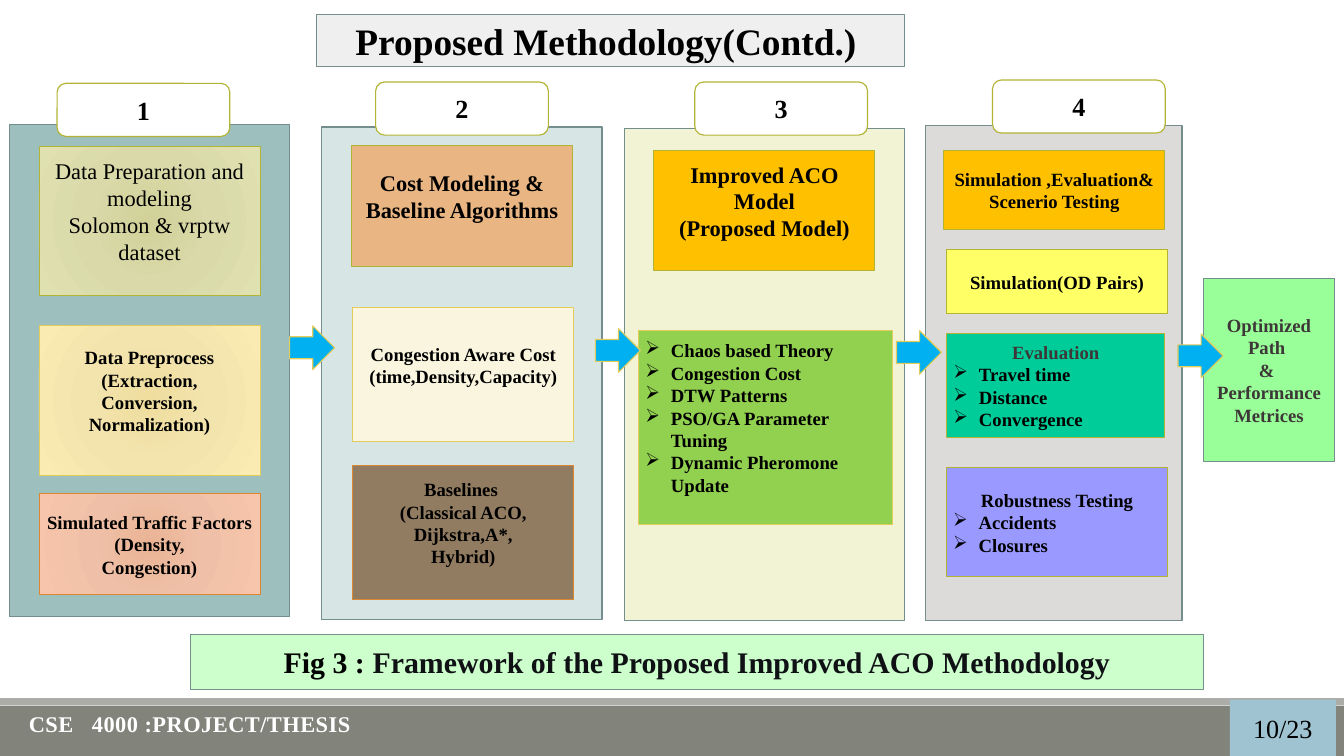
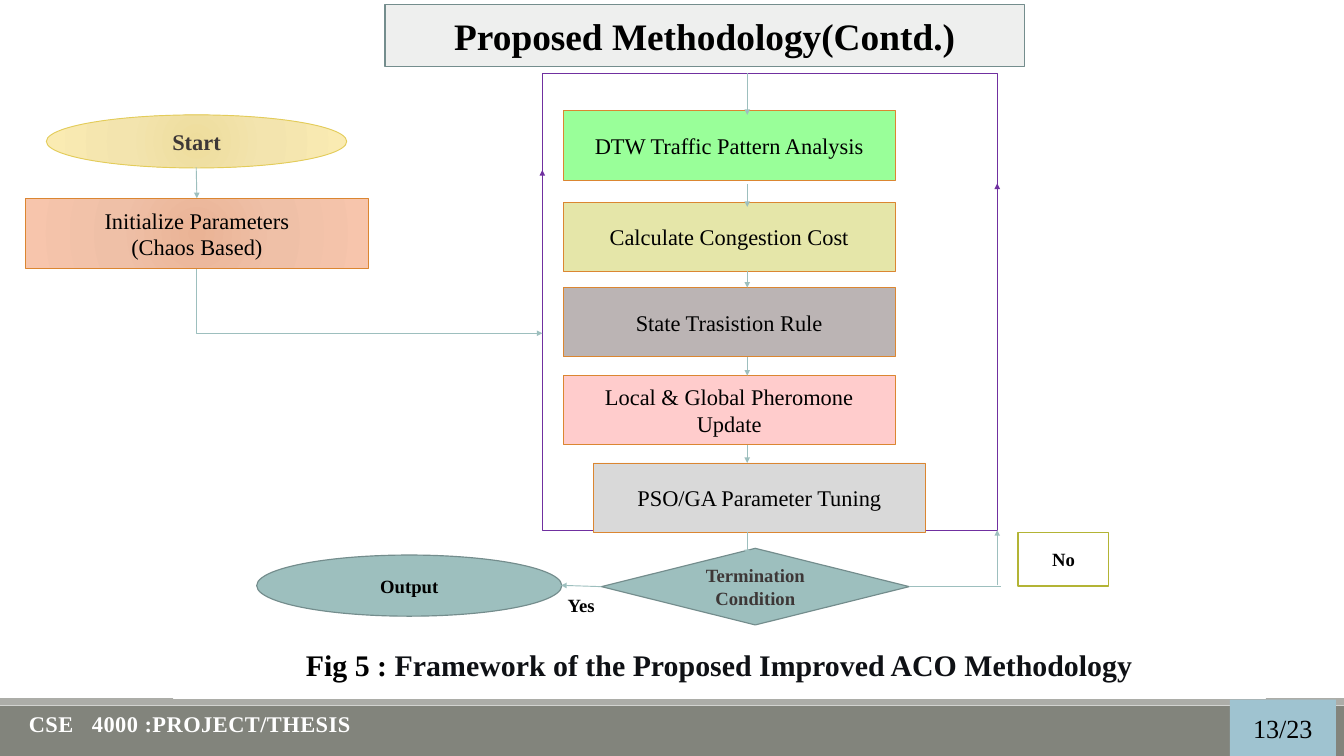
from lxml import etree
from pptx import Presentation
from pptx.dml.color import RGBColor
from pptx.enum.shapes import MSO_CONNECTOR, MSO_SHAPE
from pptx.enum.text import MSO_ANCHOR, PP_ALIGN
from pptx.oxml.ns import qn
from pptx.util import Inches, Pt

RECT, ROUND = MSO_SHAPE.RECTANGLE, MSO_SHAPE.ROUNDED_RECTANGLE
OVAL, DIAMOND = MSO_SHAPE.OVAL, MSO_SHAPE.FLOWCHART_DECISION
ARROW = MSO_SHAPE.RIGHT_ARROW
STRAIGHT, ELBOW = MSO_CONNECTOR.STRAIGHT, MSO_CONNECTOR.ELBOW
LEFT, CENTER = PP_ALIGN.LEFT, PP_ALIGN.CENTER
TOP, MIDDLE = MSO_ANCHOR.TOP, MSO_ANCHOR.MIDDLE
TOP_SIDE, LEFT_SIDE, BOTTOM_SIDE, RIGHT_SIDE = range(4)

WIDTH, HEIGHT = 20, 11.25
FONT = "Times New Roman"
BLACK = RGBColor(0x00, 0x00, 0x00)
WHITE = RGBColor(0xFF, 0xFF, 0xFF)
INK = RGBColor(0x3D, 0x37, 0x37)
CAPTION_INK = RGBColor(0x0F, 0x11, 0x15)
BAND = RGBColor(0x82, 0x84, 0x7C)
STRIPE = RGBColor(0xAC, 0xAD, 0xA8)
PAGE_BLUE = RGBColor(0x9F, 0xC3, 0xD0)
TITLE_GREY = RGBColor(0xEE, 0xEF, 0xEE)
TEAL = RGBColor(0x9D, 0xBF, 0xBE)
TEAL_EDGE = RGBColor(0x74, 0x8D, 0x8D)
PALE_TEAL = RGBColor(0xD8, 0xE5, 0xE5)
OLIVE_EDGE = RGBColor(0xB3, 0xB4, 0x35)
GOLD_EDGE = RGBColor(0xE3, 0xCC, 0x5A)
ORANGE_EDGE = RGBColor(0xDB, 0x86, 0x31)
PURPLE = RGBColor(0x70, 0x30, 0xA0)
SKY = RGBColor(0x00, 0xB0, 0xF0)
AMBER = RGBColor(0xFF, 0xC0, 0x00)
TAN = RGBColor(0xE9, 0xB6, 0x83)
CREAM = RGBColor(0xF9, 0xF5, 0xDE)
BROWN = RGBColor(0x92, 0x7C, 0x61)
IVORY = RGBColor(0xF2, 0xF2, 0xD4)
LEAF = RGBColor(0x92, 0xD0, 0x50)
WARM_GREY = RGBColor(0xDD, 0xDA, 0xDA)
YELLOW = RGBColor(0xFF, 0xFF, 0x66)
JADE = RGBColor(0x00, 0xCC, 0x99)
VIOLET = RGBColor(0x99, 0x99, 0xFF)
LIME = RGBColor(0x99, 0xFF, 0x99)
MINT = RGBColor(0xCC, 0xFF, 0xCC)
KHAKI = RGBColor(0xE5, 0xE6, 0xA9)
STONE = RGBColor(0xBB, 0xB4, 0xB4)
PINK = RGBColor(0xFF, 0xCC, 0xCC)
SILVER = RGBColor(0xD9, 0xD9, 0xD9)
PEACH_GLOW = ("EAB395", "EFC0A7", "F7C5AC")
GOLD_GLOW = ("EEDD9D", "F3E4AE", "FAEBB2")
OLIVE_GLOW = ("D1D199", "D9D9A9", "E0E1B0")
GLOW_STOPS = (0, 45, 100)

TITLE = "Proposed Methodology(Contd.)"
COURSE = "CSE   4000 :PROJECT/THESIS"
CAPTION = "Framework of the Proposed Improved ACO Methodology"
BULLET, INDENT = "➢", 0.38
LIFT = 0.34

PANELS = [
    {"frame": (0.14, 1.85, 4.17, 7.33), "fill": TEAL, "badge": (0.85, 1.24), "cards": [
        {"place": (0, 2.18, 3.29, 2.22), "fill": OLIVE_GLOW, "edge": OLIVE_EDGE, "size": 24,
         "bold": False, "lift": LIFT,
         "lines": ["Data Preparation and modeling", "Solomon & vrptw dataset"]},
        {"place": (0, 4.85, 3.29, 2.22), "fill": GOLD_GLOW, "edge": GOLD_EDGE, "lift": LIFT,
         "lines": ["Data Preprocess", "(Extraction,", "Conversion,", "Normalization)"]},
        {"place": (0, 7.35, 3.29, 1.5), "fill": PEACH_GLOW, "edge": ORANGE_EDGE,
         "lines": ["Simulated Traffic Factors", "(Density,", "Congestion)"]}]},
    {"frame": (4.79, 1.89, 4.17, 7.33), "fill": PALE_TEAL, "badge": (5.59, 1.22), "cards": [
        {"place": (0, 2.17, 3.29, 1.79), "fill": TAN, "edge": OLIVE_EDGE, "size": 24,
         "lift": LIFT, "lines": ["Cost Modeling & Baseline Algorithms"]},
        {"place": (0.02, 4.58, 3.29, 1.99), "fill": CREAM, "edge": GOLD_EDGE, "lift": LIFT,
         "lines": ["Congestion Aware Cost", "(time,Density,Capacity)"]},
        {"place": (0.02, 6.93, 3.29, 1.99), "fill": BROWN, "edge": ORANGE_EDGE, "lift": LIFT,
         "lines": ["Baselines ", "(Classical ACO,", "Dijkstra,A*,", "Hybrid)"]}]},
    {"frame": (9.29, 1.91, 4.17, 7.33), "fill": IVORY, "badge": (10.34, 1.22), "cards": [
        {"place": (0, 2.24, 3.29, 1.79), "fill": AMBER, "edge": OLIVE_EDGE, "size": 24,
         "lift": LIFT, "lines": ["Improved ACO Model", "(Proposed Model)"]},
        {"place": (0.02, 4.92, 3.78, 2.88), "fill": LEAF, "edge": GOLD_EDGE, "lift": LIFT,
         "bullets": ["Chaos based Theory", "Congestion Cost", "DTW Patterns",
                     "PSO/GA Parameter Tuning", "Dynamic Pheromone Update"]}]},
    {"frame": (13.77, 1.87, 3.82, 7.37), "fill": WARM_GREY, "badge": (14.77, 1.19), "cards": [
        {"place": (0.01, 2.24, 3.29, 1.17), "fill": AMBER, "edge": OLIVE_EDGE,
         "lines": ["Simulation ,Evaluation& Scenerio Testing"]},
        {"place": (0.05, 3.71, 3.29, 0.96), "fill": YELLOW, "edge": OLIVE_EDGE,
         "lines": ["Simulation(OD Pairs)"]},
        {"place": (0.03, 4.97, 3.24, 1.54), "fill": JADE, "edge": OLIVE_EDGE, "ink": INK,
         "lines": ["Evaluation"], "bullets": ["Travel time", "Distance", "Convergence"]},
        {"place": (0.05, 6.96, 3.29, 1.62), "fill": VIOLET, "edge": OLIVE_EDGE,
         "lines": ["Robustness Testing"], "bullets": ["Accidents", "Closures"]}]},
]
RESULT = ["Optimized", "Path ", "& ", "Performance", "Metrices"]
FLOW_ARROWS = [(4.31, 4.85), (8.86, 4.89), (13.34, 4.92), (17.53, 4.97)]

STEPS = [
    (8.38, 1.65, LIME, ["DTW Traffic Pattern Analysis"]),
    (8.38, 3.01, KHAKI, ["Calculate Congestion Cost"]),
    (8.38, 4.28, STONE, ["State Trasistion Rule"]),
    (8.38, 5.59, PINK, ["Local & Global Pheromone", "Update"]),
    (8.83, 6.89, SILVER, ["PSO/GA Parameter Tuning"]),
]
STEP_SIZE = (4.94, 1.03)
STEP_AXIS = 11.12
STEP_LINKS = [(1.09, 1.71), (2.74, 3.08), (4.04, 4.28), (5.31, 5.59), (6.62, 6.89), (7.92, 8.26)]
LOOP = (8.07, 1.09, 6.77, 6.8)
LOOP_RIGHT, LOOP_BOTTOM = LOOP[0] + LOOP[2], LOOP[1] + LOOP[3]


def inches(values):
    return [Inches(value) for value in values]


def paint_glow(shape, colours):
    shape.fill.gradient()
    glow = shape._element.spPr.find(qn("a:gradFill"))
    glow.clear()
    stops = etree.SubElement(glow, qn("a:gsLst"))
    for position, colour in zip(GLOW_STOPS, colours):
        stop = etree.SubElement(stops, qn("a:gs"), pos=str(position * 1000))
        etree.SubElement(stop, qn("a:srgbClr"), val=colour)
    circle = etree.SubElement(glow, qn("a:path"), path="circle")
    etree.SubElement(circle, qn("a:fillToRect"), {side: "100000" for side in "ltrb"})


def add_span(para, text, size, bold, ink):
    span = para.add_run()
    span.text = text
    span.font.name, span.font.size = FONT, Pt(size)
    span.font.bold, span.font.color.rgb = bold, ink
    return span


def set_bullet(para):
    props = para._p.get_or_add_pPr()
    props.set("marL", str(Inches(INDENT)))
    props.set("indent", str(-Inches(INDENT)))
    etree.SubElement(props, qn("a:buChar"), char=BULLET)


def write(shape, lines=(), bullets=(), size=20, bold=True, ink=BLACK, lift=0.05,
          align=CENTER, anchor=MIDDLE):
    frame = shape.text_frame
    frame.word_wrap, frame.vertical_anchor = True, anchor
    frame.margin_bottom = Inches(lift)
    entries = [(line, False) for line in lines] + [(line, True) for line in bullets]
    for number, (text, bulleted) in enumerate(entries):
        para = frame.add_paragraph() if number else frame.paragraphs[0]
        para.alignment = LEFT if bulleted else align
        if bulleted:
            set_bullet(para)
        add_span(para, text, size, bold, BLACK if bulleted else ink)


def add_box(page, kind, frame, fill=None, edge=None, weight=1.25, **words):
    box = page.shapes.add_shape(kind, *inches(frame))
    box.shadow.inherit = False
    if fill is None:
        box.fill.background()
    elif isinstance(fill, RGBColor):
        box.fill.solid()
        box.fill.fore_color.rgb = fill
    else:
        paint_glow(box, fill)
    if edge is None:
        box.line.fill.background()
    else:
        box.line.color.rgb, box.line.width = edge, Pt(weight)
    if words:
        write(box, **words)
    return box


def add_label(page, frame, text, size, ink):
    label = page.shapes.add_textbox(*inches(frame))
    write(label, [text], size=size, ink=ink, align=LEFT, anchor=TOP)
    return label


def add_link(page, start, end, colour=TEAL, head=True, kind=STRAIGHT):
    link = page.shapes.add_connector(kind, *inches(start + end))
    link.line.color.rgb, link.line.width = colour, Pt(1)
    if head:
        etree.SubElement(link.line._get_or_add_ln(), qn("a:tailEnd"), type="triangle")
    etree.SubElement(link._element.spPr, qn("a:effectLst"))
    return link


def add_corner_link(page, start, end):
    link = add_link(page, start, end, kind=ELBOW)
    across, down = end[0] - start[0], end[1] - start[1]
    link.left = Inches((start[0] + end[0] - down) / 2)
    link.top = Inches((start[1] + end[1] - across) / 2)
    link.width, link.height = Inches(down), Inches(across)
    props = link._element.spPr
    props.find(qn("a:prstGeom")).set("prst", "bentConnector2")
    turn = props.find(qn("a:xfrm"))
    turn.set("rot", str(270 * 60000))
    turn.set("flipH", "1")


def add_page(deck, title, title_frame, number):
    page = deck.slides.add_slide(deck.slide_layouts[6])
    add_box(page, RECT, (0, 10.5, WIDTH, 0.75), BAND)
    add_box(page, RECT, (0, 10.39, WIDTH, 0.1), STRIPE)
    add_box(page, RECT, title_frame, TITLE_GREY, TEAL_EDGE, lines=[title], size=40)
    course = add_label(page, (0.33, 10.52, 9.67, 0.5), COURSE, 24, WHITE)
    course.text_frame.paragraphs[0].runs[0]._r.get_or_add_rPr().set("spc", "50")
    add_box(page, RECT, (18.3, 10.41, 1.58, HEIGHT - 10.41), PAGE_BLUE,
            lines=[number], size=28, bold=False)
    return page


def add_caption(page, frame, figure, fill, edge):
    caption = add_box(page, RECT, frame, fill, edge, lines=[figure], size=32)
    add_span(caption.text_frame.paragraphs[0], CAPTION, 32, True, CAPTION_INK)


def build_framework(deck):
    page = add_page(deck, TITLE + " ", (4.71, 0.22, 8.75, 0.77), "10/23")
    for number, panel in enumerate(PANELS, 1):
        left, _, width, _ = panel["frame"]
        add_box(page, RECT, panel["frame"], panel["fill"], TEAL_EDGE)
        for card in panel["cards"]:
            nudge, top, card_width, height = card["place"]
            style = {key: value for key, value in card.items() if key != "place"}
            frame = (left + (width - card_width) / 2 + nudge, top, card_width, height)
            add_box(page, RECT, frame, weight=1, **style)
        add_box(page, ROUND, panel["badge"] + (2.57, 0.79), WHITE, OLIVE_EDGE,
                lines=[str(number)], size=28)
    add_box(page, RECT, (17.91, 4.14, 1.95, 2.73), LIME, TEAL_EDGE, lines=RESULT, ink=INK)
    for corner in FLOW_ARROWS:
        add_box(page, ARROW, corner + (0.67, 0.65), SKY, GOLD_EDGE)
    add_caption(page, (2.84, 9.44, 15.07, 0.82), "Fig 3 : ", MINT, TEAL_EDGE)


def build_flowchart(deck):
    page = add_page(deck, TITLE, (5.73, 0.07, 9.51, 0.92), "13/23")
    add_caption(page, (2.58, 9.39, 16.25, 1), "Fig 5 : ", WHITE, WHITE)
    decision = add_box(page, DIAMOND, (8.95, 8.16, 4.58, 1.14), TEAL, TEAL_EDGE,
                       lines=["Termination Condition"], ink=INK)
    add_box(page, OVAL, (3.82, 8.26, 4.54, 0.91), TEAL, TEAL_EDGE, lines=["Output"])
    add_label(page, (8.35, 8.79, 1.63, 0.44), "Yes", 20, BLACK)
    add_box(page, OVAL, (0.69, 1.71, 4.47, 0.79), GOLD_GLOW, GOLD_EDGE, 1,
            lines=["Start"], size=24, ink=INK)
    setup = add_box(page, RECT, (0.38, 2.95, 5.1, 1.05), PEACH_GLOW, ORANGE_EDGE, 1,
                    lines=["Initialize Parameters", "(Chaos Based)"], size=24, bold=False)
    loop = add_box(page, RECT, LOOP, None, PURPLE, 0.75)
    for left, top, fill, lines in STEPS:
        add_box(page, RECT, (left, top) + STEP_SIZE, fill, ORANGE_EDGE, 1,
                lines=lines, size=24, bold=False)
    add_box(page, RECT, (15.15, 7.93, 1.35, 0.79), WHITE, OLIVE_EDGE, lines=["No"])

    for start, end in STEP_LINKS:
        add_link(page, (STEP_AXIS, start), (STEP_AXIS, end))
    add_link(page, (2.92, 2.49), (2.92, 2.95)).end_connect(setup, TOP_SIDE)
    add_corner_link(page, (2.92, 4), (LOOP[0], 4.96))
    add_link(page, (LOOP[0], 4.49), (LOOP[0], 2.53), PURPLE).begin_connect(loop, LEFT_SIDE)
    add_link(page, (LOOP_RIGHT, 5.35), (LOOP_RIGHT, 2.73), PURPLE)
    add_link(page, (8.95, 8.73), (8.35, 8.71)).begin_connect(decision, LEFT_SIDE)
    add_link(page, (13.52, 8.73), (14.89, 8.73), head=False).begin_connect(decision, RIGHT_SIDE)
    add_link(page, (LOOP_RIGHT, 8.71), (LOOP_RIGHT, LOOP_BOTTOM))


def main():
    deck = Presentation()
    deck.slide_width, deck.slide_height = Inches(WIDTH), Inches(HEIGHT)
    build_framework(deck)
    build_flowchart(deck)
    deck.save("out.pptx")


if __name__ == "__main__":
    main()
